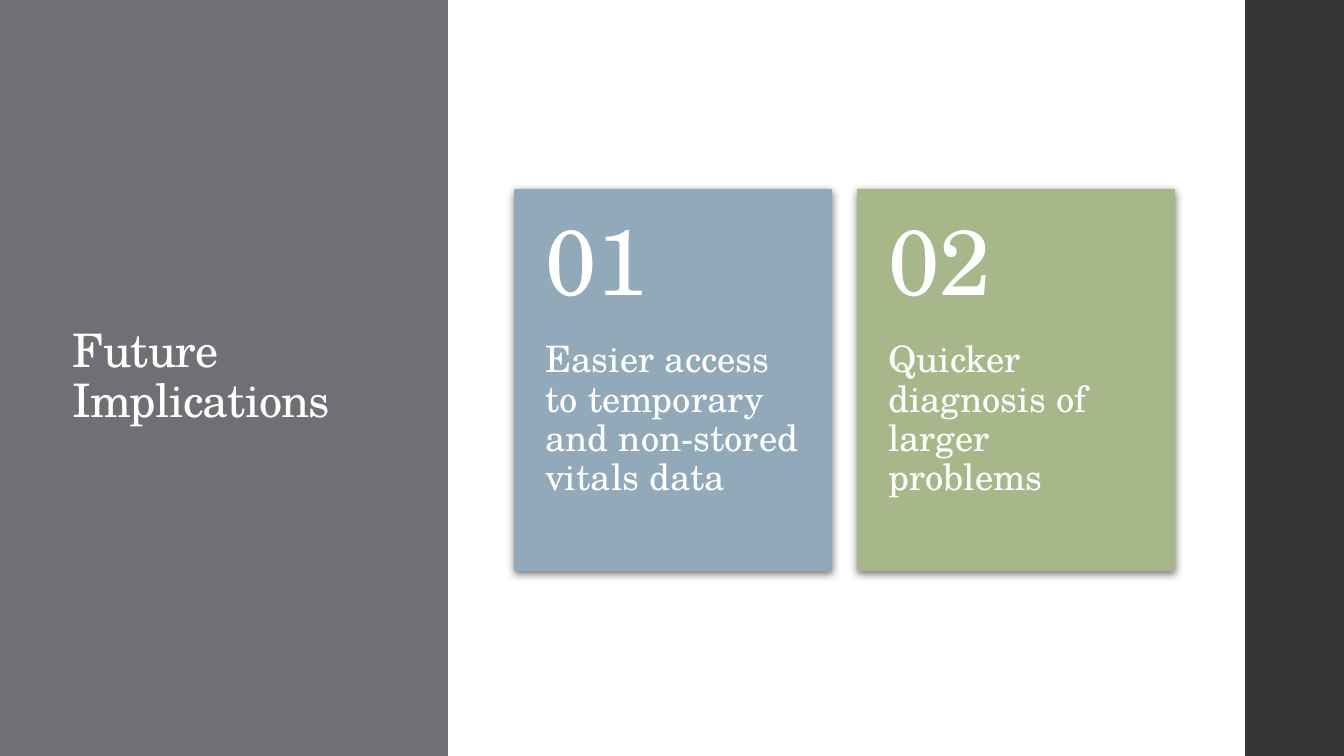
"""Build the Future Implications slide with two numbered cards."""
from lxml import etree
from pptx import Presentation, util as u
from pptx.dml.color import RGBColor
from pptx.enum import shapes, text
from pptx.oxml.ns import qn

WHITE = RGBColor(0xFF, 0xFF, 0xFF)
GREY = RGBColor(0x6F, 0x6F, 0x74)
DARK = RGBColor(0x35, 0x35, 0x37)
BLUE = RGBColor(0x92, 0xA9, 0xB9)
GREEN = RGBColor(0xA7, 0xB7, 0x89)
FONT = "TeX Gyre Schola"

TITLE = "Future Implications"
CARDS = [
    ("01", "Easier access to temporary and non-stored vitals data", BLUE),
    ("02", "Quicker diagnosis of larger problems", GREEN),
]

WIDE, HIGH = 13.33, 7.5
PANEL, EDGE = WIDE / 3, 12.35
LEFT, TOP, STEP = 5.1, HIGH / 4, 3.4
CARD_W, CARD_H = 3.15, 3.78
HEAD = CARD_H * 0.4
PAD = 0.31


def inches(*vals):
    return [u.Inches(v) for v in vals]


def block(slide, box, color):
    shape = slide.shapes.add_shape(shapes.MSO_SHAPE.RECTANGLE, *inches(*box))
    shape.shadow.inherit = False
    shape.fill.solid()
    shape.fill.fore_color.rgb = color
    shape.line.fill.background()
    return shape


def shade(shape):
    effects = shape.element.spPr.find(qn("a:effectLst"))
    shadow = etree.SubElement(
        effects, qn("a:outerShdw"), blurRad=str(u.Pt(6)), dist=str(u.Pt(2)),
        dir="5400000", algn="ctr", rotWithShape="0")
    black = etree.SubElement(shadow, qn("a:srgbClr"), val="000000")
    etree.SubElement(black, qn("a:alpha"), val="55000")


def write(frame, words, size, anchor):
    frame.word_wrap = True
    frame.auto_size = text.MSO_AUTO_SIZE.NONE
    frame.vertical_anchor = anchor
    para = frame.paragraphs[0]
    para.alignment = text.PP_ALIGN.LEFT
    para.line_spacing = 0.9
    run = para.add_run()
    run.text = words
    run.font.name = FONT
    run.font.size = u.Pt(size)
    run.font.color.rgb = WHITE
    return run


def label(slide, box, words, size, anchor, above, below):
    frame = slide.shapes.add_textbox(*inches(*box)).text_frame
    frame.margin_left = frame.margin_right = u.Inches(PAD)
    frame.margin_top, frame.margin_bottom = inches(above, below)
    write(frame, words, size, anchor)


def main():
    deck = Presentation()
    deck.slide_width, deck.slide_height = inches(WIDE, HIGH)
    slide = deck.slides.add_slide(deck.slide_layouts[5])
    title = slide.shapes.title
    title.left, title.top, title.width, title.height = inches(0.62, 0.91, 2.97, 5.67)
    run = write(title.text_frame, TITLE, 33, text.MSO_ANCHOR.MIDDLE)
    run.font._element.set("spc", "-50")

    for x, width, color in [(0, PANEL, GREY), (EDGE, WIDE - EDGE, DARK)]:
        panel = block(slide, (x, 0, width, HIGH), color)
        title.element.addprevious(panel.element)

    for i, (number, words, color) in enumerate(CARDS):
        x = LEFT + i * STEP
        card = block(slide, (x, TOP, CARD_W, CARD_H), color)
        card.line.color.rgb = color
        card.line.width = u.Pt(0.75)
        shade(card)
        label(slide, (x, TOP + HEAD, CARD_W, CARD_H - HEAD), words, 26,
              text.MSO_ANCHOR.TOP, 0, 0.36)
        label(slide, (x, TOP, CARD_W, HEAD), number, 66,
              text.MSO_ANCHOR.MIDDLE, 0.18, 0.18)

    deck.save("out.pptx")


if __name__ == "__main__":
    main()
